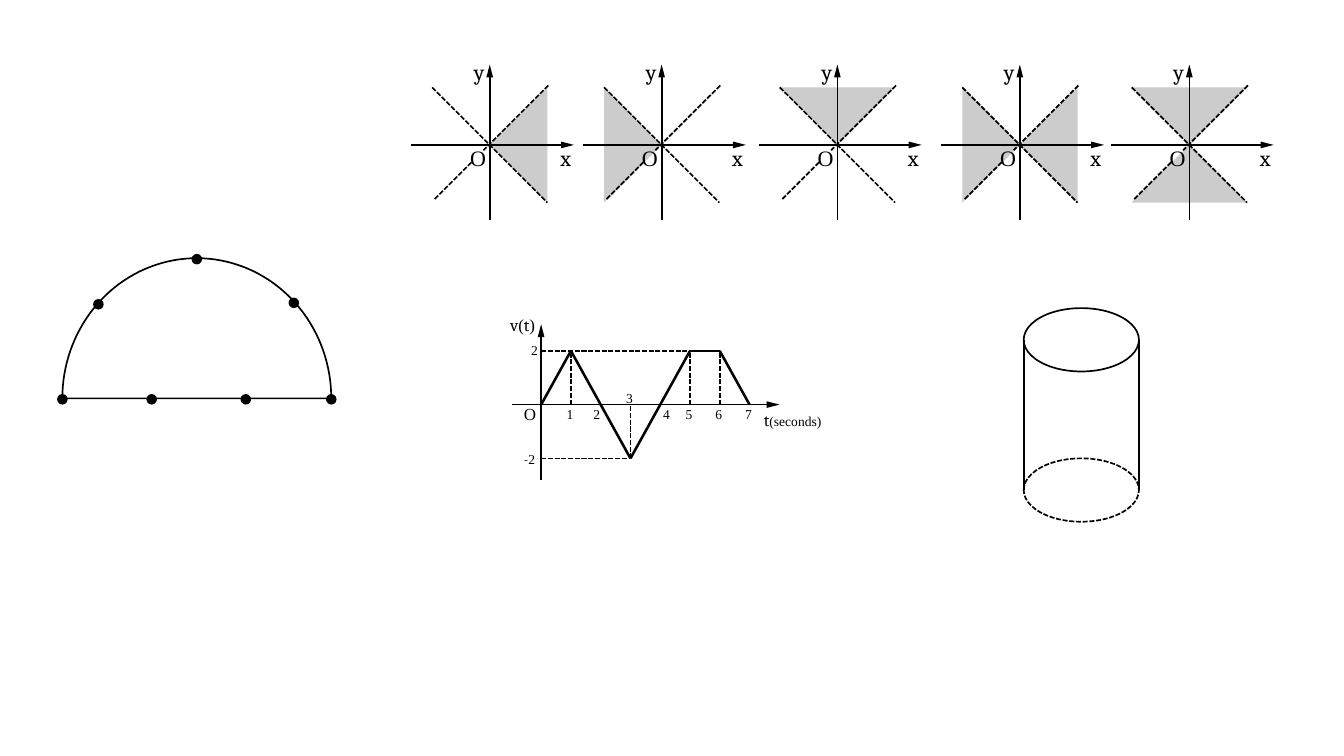
import math
from dataclasses import dataclass
from itertools import pairwise

import pptx
import pptx.dml.color
import pptx.enum.dml
import pptx.enum.shapes
import pptx.enum.text
import pptx.util
from lxml import etree
from pptx.oxml.ns import qn

Cm = pptx.util.Cm
Pt = pptx.util.Pt
SHAPE = pptx.enum.shapes.MSO_SHAPE
DASH = pptx.enum.dml.MSO_LINE.SQUARE_DOT
BLACK = pptx.dml.color.RGBColor(0x00, 0x00, 0x00)
GREY = pptx.dml.color.RGBColor(0xCC, 0xCC, 0xCC)
ITALIC_FONT, ROMAN_FONT = "Cambria", "Times New Roman"

# Clockwise direction of each shaded wedge, in degrees
RIGHT, BOTTOM, LEFT, TOP = 0, 90, 180, 270


@dataclass
class Run:
    text: str
    font: str
    size: float


@dataclass
class Label:
    """A text box placed relative to the origin of its axes, in cm."""
    dx: float
    dy: float
    width: float
    height: float
    runs: tuple[Run, ...]


@dataclass
class Plane:
    x: float
    wedges: tuple[int, ...]


def add_line(x1: float, y1: float, x2: float, y2: float,
             width: float = 1, dashed: bool = False) -> None:
    c = s.shapes.add_connector(pptx.enum.shapes.MSO_CONNECTOR.STRAIGHT,
                               Cm(x1), Cm(y1), Cm(x2), Cm(y2))
    c.line.color.rgb = BLACK
    c.line.width = Pt(width)
    if dashed:
        c.line.dash_style = DASH
    etree.SubElement(c._element.spPr, qn("a:effectLst"))


def add_filled(kind: SHAPE, cx: float, cy: float, width: float, height: float,
               color: pptx.dml.color.RGBColor, rotation: float = 0) -> None:
    """Draw a filled shape around its centre."""
    sp = s.shapes.add_shape(kind, Cm(cx - width / 2), Cm(cy - height / 2),
                            Cm(width), Cm(height))
    sp.shadow.inherit = False
    sp.fill.solid()
    sp.fill.fore_color.rgb = color
    sp.line.fill.background()
    sp.rotation = rotation


def style_outline(sp: pptx.shapes.autoshape.Shape, dashed: bool = False) -> None:
    sp.shadow.inherit = False
    sp.fill.background()
    sp.line.color.rgb = BLACK
    sp.line.width = Pt(1)
    if dashed:
        sp.line.dash_style = DASH


def add_axes(x: float, y: float, left: float, right: float) -> None:
    add_line(x - left, y, x + right, y)
    add_filled(SHAPE.ISOSCELES_TRIANGLE, x + right, y, 0.14, 0.27, BLACK, 90)
    add_line(x, y + 1.57, x, y - 1.57)
    add_filled(SHAPE.ISOSCELES_TRIANGLE, x, y - 1.54, 0.14, 0.27, BLACK)


def add_label(x: float, y: float, label: Label) -> None:
    tb = s.shapes.add_textbox(Cm(x + label.dx), Cm(y + label.dy),
                              Cm(label.width), Cm(label.height))
    tf = tb.text_frame
    tf.word_wrap = True
    tf.auto_size = pptx.enum.text.MSO_AUTO_SIZE.SHAPE_TO_FIT_TEXT
    for run in label.runs:
        r = tf.paragraphs[0].add_run()
        r.text = run.text
        r.font.name = run.font
        r.font.size = Pt(run.size)
        r.font.color.rgb = BLACK


prs = pptx.Presentation()
prs.slide_width, prs.slide_height = Cm(27.99), Cm(15.75)
s = prs.slides.add_slide(prs.slide_layouts[6])

# Half ellipse with marked points
ARC_X, ARC_Y, ARC_RX, ARC_RY, STEPS = 4.1, 8.3, 2.8, 2.92, 72
arc = [(Cm(ARC_X - ARC_RX * math.cos(math.pi * i / STEPS)),
        Cm(ARC_Y - ARC_RY * math.sin(math.pi * i / STEPS)))
       for i in range(STEPS + 1)]
fb = s.shapes.build_freeform(*arc[0])
fb.add_line_segments(arc[1:], close=True)
style_outline(fb.convert_to_shape())

DOTS = [(1.3, 8.32), (3.16, 8.32), (5.12, 8.32), (6.9, 8.32),
        (2.05, 6.34), (4.1, 5.4), (6.12, 6.31)]
for dot_x, dot_y in DOTS:
    add_filled(SHAPE.OVAL, dot_x, dot_y, 0.22, 0.22, BLACK)

# Five coordinate planes with shaded wedges
PLANE_Y, WEDGE_LEG, WEDGE_REACH = 3.02, 1.7, 1.2
PLANES = [
    Plane(10.2, (RIGHT,)),
    Plane(13.78, (LEFT,)),
    Plane(17.44, (TOP,)),
    Plane(21.24, (LEFT, RIGHT)),
    Plane(24.77, (TOP, BOTTOM)),
]
PLANE_LABELS = [
    Label(-0.58, -1.93, 0.71, 0.86, (Run("y", ITALIC_FONT, 13),)),
    Label(1.22, -0.13, 0.56, 0.86, (Run("x", ITALIC_FONT, 13),)),
    Label(-0.66, -0.13, 0.89, 0.86, (Run("O", ROMAN_FONT, 13),)),
]
# Diagonals; the rising one leaves a gap for the origin's letter
DIAGONALS = [(-1.2, -1.2, 1.2, 1.2), (1.22, -1.24, -0.13, 0.11),
             (-0.38, 0.36, -1.17, 1.15)]
for plane in PLANES:
    for angle in plane.wedges:
        add_filled(SHAPE.RIGHT_TRIANGLE,
                   plane.x + WEDGE_REACH * math.cos(math.radians(angle)),
                   PLANE_Y + WEDGE_REACH * math.sin(math.radians(angle)),
                   WEDGE_LEG, WEDGE_LEG, GREY, (angle + 45) % 360)
    add_axes(plane.x, PLANE_Y, 1.64, 1.62)
    for label in PLANE_LABELS:
        add_label(plane.x, PLANE_Y, label)
    for x1, y1, x2, y2 in DIAGONALS:
        add_line(plane.x + x1, PLANE_Y + y1, plane.x + x2, PLANE_Y + y2, dashed=True)

# Velocity graph
GRAPH_X, GRAPH_Y, SECOND, SPEED = 11.27, 8.43, 0.62, 0.56
VELOCITY = [(0, 0), (1, 2), (2, 0), (3, -2), (4, 0), (5, 2), (6, 2), (7, 0)]
GUIDES = [((0, 2), (5, 2)), ((0, -2), (3, -2)), ((1, 0), (1, 2)),
          ((3, -2), (3, 0)), ((5, 0), (5, 2)), ((6, 0), (6, 2))]
GRAPH_LABELS = [
    Label(-0.89, -2.01, 1.19, 0.74,
          (Run("v", ITALIC_FONT, 10), Run("(", ROMAN_FONT, 10),
           Run("t", ITALIC_FONT, 10), Run(")", ROMAN_FONT, 10))),
    Label(4.39, -0.03, 2.21, 1.09,
          (Run("t", ITALIC_FONT, 10), Run("(seconds)", ROMAN_FONT, 8))),
    Label(-0.61, -0.15, 0.89, 0.86, (Run("O", ROMAN_FONT, 10),)),
    Label(-0.46, -1.42, 0.64, 0.64, (Run("2", ROMAN_FONT, 8),)),
    Label(-0.61, 0.84, 0.86, 0.64,
          (Run("-", ITALIC_FONT, 8), Run("2", ROMAN_FONT, 8))),
]
# Second marks move aside where the curve crosses the axis
NUDGES = {2: -0.06, 4: 0.15}
for t in range(1, 8):
    GRAPH_LABELS.append(Label(SECOND * t - 0.34 + NUDGES.get(t, 0),
                              -0.43 if t == 3 else -0.1, 0.64, 0.64,
                              (Run(str(t), ROMAN_FONT, 8),)))


def add_segment(start: tuple[int, int], end: tuple[int, int],
                width: float, dashed: bool) -> None:
    add_line(GRAPH_X + SECOND * start[0], GRAPH_Y - SPEED * start[1],
             GRAPH_X + SECOND * end[0], GRAPH_Y - SPEED * end[1], width, dashed)


add_axes(GRAPH_X, GRAPH_Y, 0.61, 4.83)
for start, end in GUIDES:
    add_segment(start, end, 1, True)
for start, end in pairwise(VELOCITY):
    add_segment(start, end, 1.5, False)
for label in GRAPH_LABELS:
    add_label(GRAPH_X, GRAPH_Y, label)

# Cylinder
CYL_X, CYL_W, RIM_H, RIM_TOP, BASE_TOP = 21.32, 2.4, 1.32, 6.42, 9.55
for rim_y, dashed in ((RIM_TOP, False), (BASE_TOP, True)):
    style_outline(s.shapes.add_shape(SHAPE.OVAL, Cm(CYL_X), Cm(rim_y),
                                     Cm(CYL_W), Cm(RIM_H)), dashed)
for side_x in (CYL_X, CYL_X + CYL_W):
    add_line(side_x, RIM_TOP + RIM_H / 2, side_x, BASE_TOP + RIM_H / 2)

prs.save("out.pptx")
